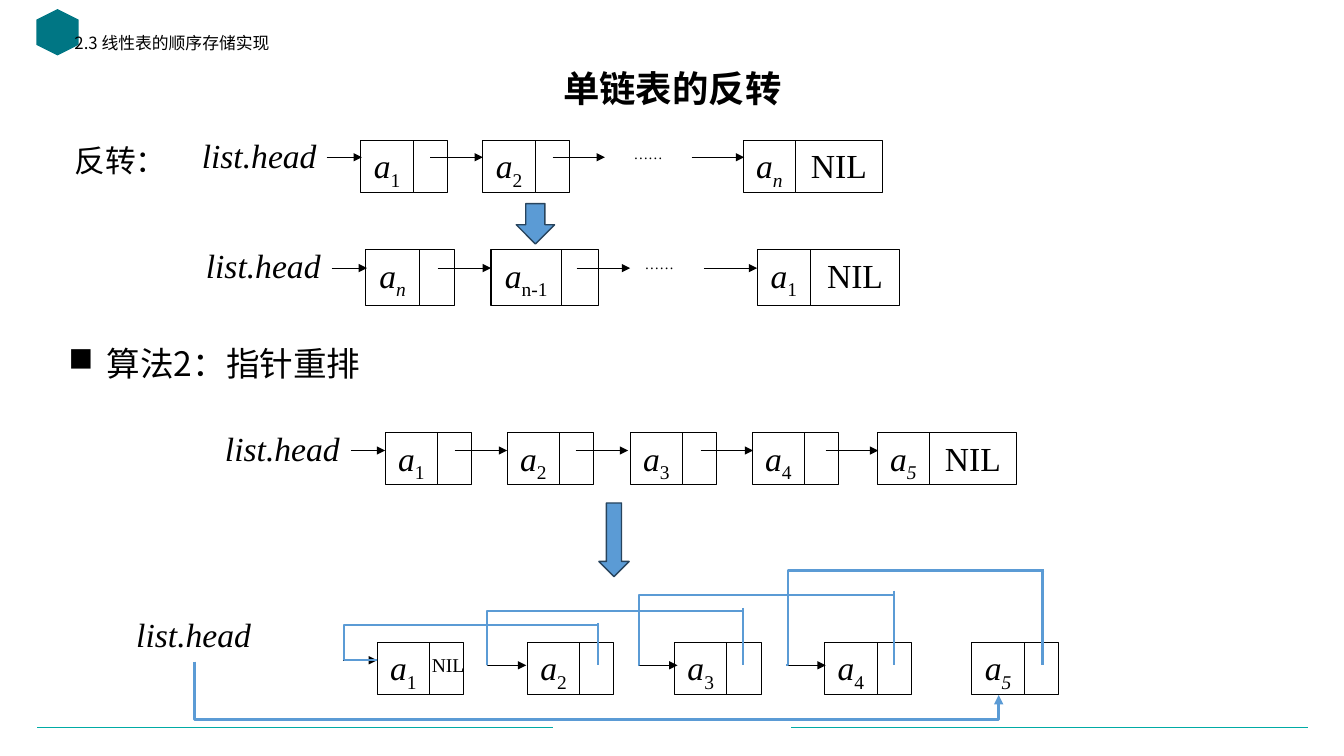
"""Build the slide on reversing a singly linked list."""
from lxml.etree import SubElement
from pptx import Presentation
from pptx.dml.color import RGBColor
from pptx.enum.shapes import MSO_CONNECTOR as LINK, MSO_SHAPE as SHAPE
from pptx.enum.text import MSO_ANCHOR as ANCHOR, PP_ALIGN as ALIGN
from pptx.oxml.ns import qn
from pptx.util import Cm, Pt

BLACK = RGBColor(0, 0, 0)
WHITE = RGBColor(255, 255, 255)
TEAL = RGBColor(0x00, 0xAB, 0xA5)
DEEP = RGBColor(0x00, 0x76, 0x84)
BLUE = RGBColor(0x5B, 0x9B, 0xD5)
NAVY = RGBColor(0x28, 0x44, 0x5D)
SANS, SERIF = "Noto Sans CJK SC", "Times New Roman"
INCH = 2.54
ITEM, TAIL, LAST = 0.52, 0.34, 0.86

# text, box, format
HEADS = [
    ("单链表的反转", (0.92, 0.62, 11.5, 0.57),
     dict(size=26, bold=True, align=ALIGN.CENTER, anchor=ANCHOR.MIDDLE)),
    ("2.3 线性表的顺序存储实现", (0.64, 0.3, 5.32, 0.36), dict(size=12)),
    ("反转：", (0.64, 1.4, 5.39, 0.8), dict(size=22)),
    ("算法2：指针重排", (0.58, 3.4, 5.4, 0.55), dict(size=24, bullet="■")),
]
# cells: left, subscript, slanted subscript, text of the link part, widths
# arrows: left, height, length
ROWS = [
    dict(top=1.39, high=0.52, head=(1.9, 1.29), dots=6,
         cells=[(3.58, "1", False, "", ITEM, TAIL),
                (4.79, "2", False, "", ITEM, TAIL),
                (7.37, "n", True, "NIL", ITEM, LAST)],
         arrows=[(3.24, 1.56, 0.35), (4.27, 1.56, 0.52),
                 (5.48, 1.56, 0.52), (6.86, 1.56, 0.52)]),
    dict(top=2.48, high=0.55, head=(1.94, 2.38), dots=6.11,
         cells=[(3.63, "n", True, "", 0.53, 0.35),
                (4.87, "n-1", False, "", 0.7, 0.37),
                (7.51, "1", False, "NIL", 0.53, 0.88)],
         arrows=[(3.29, 2.66, 0.35), (4.34, 2.66, 0.53),
                 (5.72, 2.66, 0.53), (6.98, 2.66, 0.53)]),
    dict(top=4.29, high=0.52, head=(2.13, 4.2), dots=None,
         cells=[(3.82, "1", False, "", ITEM, TAIL),
                (5.03, "2", False, "", ITEM, TAIL),
                (6.25, "3", False, "", ITEM, TAIL),
                (7.46, "4", False, "", ITEM, TAIL),
                (8.7, "5", True, "NIL", ITEM, LAST)],
         arrows=[(3.48, 4.47, 0.34), (4.51, 4.47, 0.52), (5.71, 4.47, 0.52),
                 (6.95, 4.47, 0.52), (8.19, 4.47, 0.52)]),
    dict(top=6.37, high=0.52, head=(1.25, 6.04), dots=None,
         cells=[(3.74, "1", False, "", ITEM, TAIL),
                (5.23, "2", False, "", ITEM, TAIL),
                (6.69, "3", False, "", ITEM, TAIL),
                (8.18, "4", False, "", ITEM, TAIL),
                (9.64, "5", True, "", ITEM, TAIL)],
         arrows=[(3.4, 6.55, 0.34), (4.83, 6.6, 0.39),
                 (6.33, 6.6, 0.39), (7.8, 6.6, 0.39)]),
]
# from, to, bend in thousandths of a percent
HOOKS = [((5.92, 6.2), (3.74, 6.55), 114900),
         ((7.37, 6.06), (4.83, 6.6), 99800),
         ((8.87, 5.9), (6.33, 6.6), 99800),
         ((10.36, 5.66), (7.8, 6.6), 99300)]
STEMS = [(5.93, 6.18), (7.37, 6.03), (8.87, 5.86), (10.34, 5.66)]
DOWNS = [(5.12, 2.02, 0.38, 0.4), (5.94, 4.99, 0.3, 0.73)]
RULES = [(0.37, 5.48), (7.85, 12.97)]

deck = Presentation()
deck.slide_width, deck.slide_height = Cm(13.33 * INCH), Cm(7.5 * INCH)
slide = deck.slides.add_slide(deck.slide_layouts[6])
shapes = slide.shapes


def span(*nums):
    return [Cm(n * INCH) for n in nums]


def write(text, box=None, shape=None, size=24, font=SANS, bold=False, slant=False,
          align=ALIGN.LEFT, anchor=ANCHOR.TOP, bullet=None, sub="", subslant=False):
    shape = shape or shapes.add_textbox(*span(*box))
    frame = shape.text_frame
    frame.word_wrap, frame.vertical_anchor = True, anchor
    side = 0.1 if font == SANS else 0
    frame.margin_left = frame.margin_right = Cm(side * INCH)
    frame.margin_top = frame.margin_bottom = Cm(0.05 * INCH)
    para = frame.paragraphs[0]
    para.alignment = align
    if font == SANS:
        para.line_spacing = 0.9
    if bullet:
        props = para._p.get_or_add_pPr()
        props.set("marL", str(Cm(0.38 * INCH)))
        props.set("indent", str(-Cm(0.38 * INCH)))
        SubElement(props, qn("a:buChar")).set("char", bullet)
    for part, lean, drop in ((text, slant, False), (sub, subslant, True)):
        if part:
            run = para.add_run()
            run.text = part
            run.font.name, run.font.size = font, Pt(size)
            run.font.bold, run.font.italic = bold, lean
            run.font.color.rgb = BLACK
            props = run._r.get_or_add_rPr()
            SubElement(props, qn("a:ea")).set("typeface", font)
            if drop:
                props.set("baseline", "-25000")


def draw(kind, box, fill=None, line=None, width=0.75):
    shape = shapes.add_shape(kind, *span(*box))
    shape.shadow.inherit = False
    if fill is None:
        shape.fill.background()
    else:
        shape.fill.solid()
        shape.fill.fore_color.rgb = fill
    if line is None:
        shape.line.fill.background()
    else:
        shape.line.color.rgb, shape.line.width = line, Pt(width)
    return shape


def join(start, end, color=BLACK, width=0.75, arrow=False, bend=None, turn=None):
    kind = LINK.ELBOW if bend else LINK.STRAIGHT
    wire = shapes.add_connector(kind, *span(*start, *end))
    wire.line.color.rgb, wire.line.width = color, Pt(width)
    props = wire._element.spPr
    if arrow:
        SubElement(wire.line._get_or_add_ln(), qn("a:tailEnd")).set("type", "triangle")
    SubElement(props, qn("a:effectLst"))
    if bend:
        guide = SubElement(props.find(".//" + qn("a:avLst")), qn("a:gd"))
        guide.set("name", "adj1")
        guide.set("fmla", f"val {bend}")
    if turn:
        props.find(qn("a:xfrm")).set("rot", str(turn * 60000))


def chain(top, high, head, dots, cells, arrows):
    write("list.head", (*head, 1.24, high), font=SERIF, slant=True, align=ALIGN.RIGHT)
    for left, sub, lean, text, item, tail in cells:
        box = draw(SHAPE.RECTANGLE, (left, top, item, high), line=BLACK)
        write("a", shape=box, font=SERIF, slant=True, align=ALIGN.CENTER,
              sub=sub, subslant=lean)
        box = draw(SHAPE.RECTANGLE, (left + item, top, tail, high), WHITE, BLACK)
        if text:
            write(text, shape=box, font=SERIF, align=ALIGN.CENTER)
    for left, y, length in arrows:
        join((left, y), (left + length, y), arrow=True)
    if dots:
        write("……", (dots, top, LAST, high), size=10.5, font=SERIF, align=ALIGN.CENTER)


for left, right in RULES:
    join((right, 7.22), (left, 7.22), TEAL, 0.5)
draw(SHAPE.HEXAGON, (0.34, 0.11, 0.46, 0.42), DEEP).rotation = 90
for text, box, style in HEADS:
    write(text, box, **style)
for box in DOWNS:
    draw(SHAPE.DOWN_ARROW, box, BLUE, NAVY, 1)
for row in ROWS:
    chain(**row)
write("NIL", (4.06, 6.43, 0.77, 0.34), size=14, font=SERIF, align=ALIGN.CENTER)
for start, end, bend in HOOKS:
    join(start, end, BLUE, 1.5, bend=bend)
for x, top in STEMS:
    join((x, top), (x, 6.6), BLUE, 1.5)
join((6.08, 2.74), (5.75, 10.72), BLUE, 2.25, arrow=True, bend=174700, turn=270)

deck.save("out.pptx")
